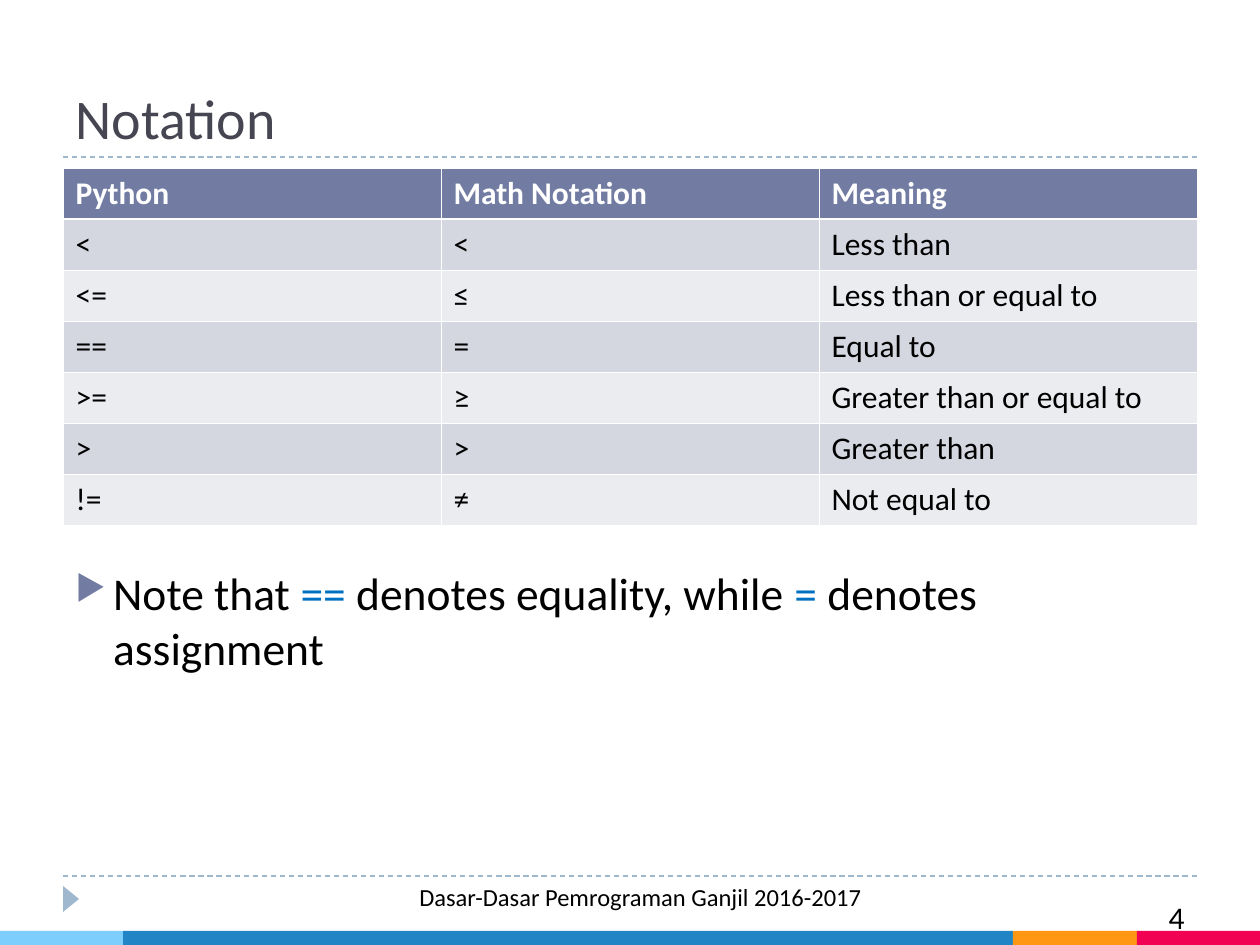
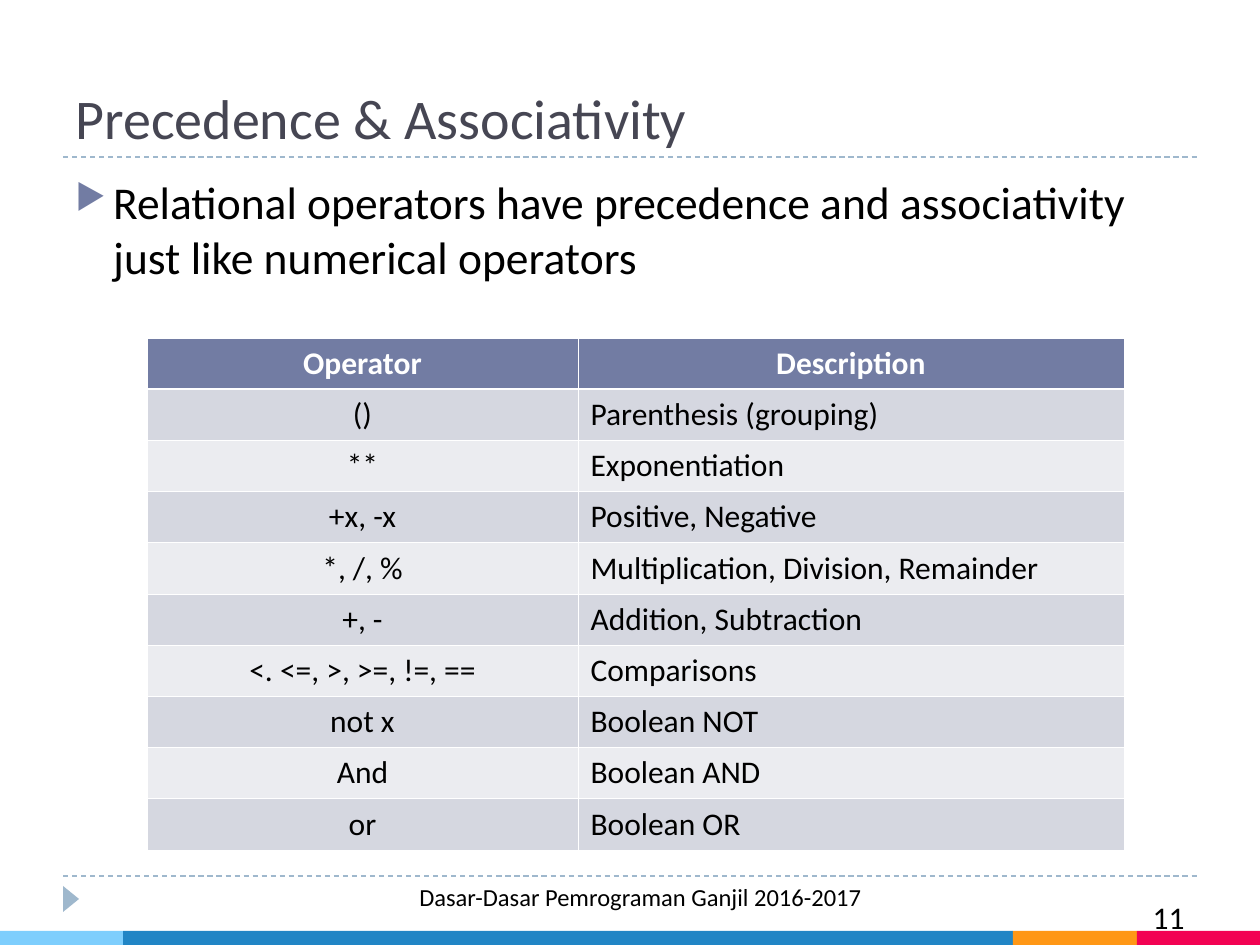
from pptx import Presentation
from pptx import util as u
from pptx.dml.color import RGBColor
from pptx.enum import dml, shapes, text
from pptx.oxml import parse_xml
from pptx.oxml.ns import nsdecls, qn
from lxml import etree

SCALE = 914400 / 126
WIDTH, HEIGHT = 1260, 945
MARGIN, CONTENT_W = 63, 1134
FONT = "Calibri"
BLACK, WHITE, TITLE_INK, HIGHLIGHT = "000000", "FFFFFF", "464653", "0070C0"
ACCENT, RULE = "727CA3", "9FB8CD"
ROW_FILLS = ("D5D7E0", "EBECF0")
BANDS = ((0, "7ECEFD"), (123, "2185C5"), (1013, "FF9715"), (1137, "F20253"))
BAND_TOP = 931
RULE_YS = (157, 876)
FOOTER = "Dasar-Dasar Pemrograman Ganjil 2016-2017"
THIN, THICK = 0.45, 1.47
LEFT, CENTER, RIGHT = text.PP_ALIGN.LEFT, text.PP_ALIGN.CENTER, text.PP_ALIGN.RIGHT

NOTATION = (
    ("Python", "Math Notation", "Meaning"),
    ("<", "<", "Less than"),
    ("<=", "≤", "Less than or equal to"),
    ("==", "=", "Equal to"),
    (">=", "≥", "Greater than or equal to"),
    (">", ">", "Greater than"),
    ("!=", "≠", "Not equal to"),
)
PRECEDENCE = (
    ("Operator", "Description"),
    ("()", "Parenthesis (grouping)"),
    ("**", "Exponentiation"),
    ("+x, -x", "Positive, Negative"),
    ("*, /, %", "Multiplication, Division, Remainder"),
    ("+, -", "Addition, Subtraction"),
    ("<. <=, >, >=, !=, ==", "Comparisons"),
    ("not x", "Boolean NOT"),
    ("And", "Boolean AND"),
    ("or", "Boolean OR"),
)


def px(n):
    """Turn pixels into EMU."""
    return u.Emu(round(n * SCALE))


def rgb(value):
    """Turn a hex string into a colour."""
    return RGBColor.from_string(value)


def style(p, size, color, align=LEFT, bold=False):
    """Format a whole paragraph."""
    p.alignment = align
    p.font.name, p.font.size, p.font.bold = FONT, u.Pt(size), bold
    p.font.color.rgb = rgb(color)


def add_shape(s, kind, box, fill):
    """Add a plain filled shape."""
    sp = s.shapes.add_shape(kind, *map(px, box))
    sp.shadow.inherit = False
    sp.fill.solid()
    sp.fill.fore_color.rgb = rgb(fill)
    sp.line.fill.background()
    return sp


def add_rule(s, y):
    """Add a dashed line across the content width."""
    line = s.shapes.add_connector(shapes.MSO_CONNECTOR.STRAIGHT,
                                  px(MARGIN), px(y), px(MARGIN + CONTENT_W), px(y))
    line.line.color.rgb = rgb(RULE)
    line.line.width = u.Pt(0.75)
    line.line.dash_style = dml.MSO_LINE.DASH
    etree.SubElement(line._element.spPr, qn("a:effectLst"))


def add_text(s, box, words, size, align=LEFT):
    """Add a wrapping text box and return its paragraph."""
    tf = s.shapes.add_textbox(*map(px, box)).text_frame
    tf.word_wrap = True
    p = tf.paragraphs[0]
    p.text = words
    style(p, size, BLACK, align)
    return p


def add_bullet(s, top, height, *runs):
    """Add a bulleted statement from (words, colour) runs."""
    p = add_text(s, (MARGIN, top, CONTENT_W, height), "", 26)
    p.space_before = u.Pt(6)
    for words, color in runs:
        r = p.add_run()
        r.text = words
        r.font.name, r.font.size = FONT, u.Pt(26)
        r.font.color.rgb = rgb(color)
    pPr = p._p.get_or_add_pPr()
    indent = u.Inches(0.3)
    pPr.set("marL", str(indent))
    pPr.set("indent", str(-indent))
    marks = (f'<a:buClr {nsdecls("a")}><a:srgbClr val="{ACCENT}"/></a:buClr>',
             f'<a:buSzPct {nsdecls("a")} val="76000"/>',
             f'<a:buChar {nsdecls("a")} char="▶"/>')
    after_spacing = pPr.index(pPr.find(qn("a:spcBef"))) + 1
    for offset, mark in enumerate(marks):
        pPr.insert(after_spacing + offset, parse_xml(mark))


def set_borders(cell, top, bottom):
    """Draw white cell borders with the given top and bottom widths."""
    tcPr = cell._tc.get_or_add_tcPr()
    for side, width in (("L", THIN), ("R", THIN), ("T", top), ("B", bottom)):
        tcPr.append(parse_xml(
            f'<a:ln{side} {nsdecls("a")} w="{u.Pt(width)}"><a:solidFill>'
            f'<a:srgbClr val="{WHITE}"/></a:solidFill></a:ln{side}>'))


def add_table(s, left, top, height, widths, rows, head_align, aligns):
    """Add a table with a coloured header and alternating rows."""
    table = s.shapes.add_table(len(rows), len(widths), px(left), px(top),
                               px(sum(widths)), px(height)).table
    for column, width in zip(table.columns, widths):
        column.width = px(width)
    for i, row in enumerate(rows):
        table.rows[i].height = px(height / len(rows))
        head = i == 0
        for j, words in enumerate(row):
            cell = table.cell(i, j)
            set_borders(cell, THICK if i == 1 else THIN, THICK if head else THIN)
            cell.fill.solid()
            cell.fill.fore_color.rgb = rgb(ACCENT if head else ROW_FILLS[(i - 1) % 2])
            p = cell.text_frame.paragraphs[0]
            p.text = words
            style(p, 18, WHITE if head else BLACK, head_align if head else aligns[j], head)


def add_slide(prs, title, number):
    """Add a slide with its title, rules, bands and footer."""
    s = prs.slides.add_slide(prs.slide_layouts[5])
    sp = s.shapes.title
    sp.left, sp.top, sp.width, sp.height = map(px, (MARGIN, 21, CONTENT_W, 136))
    tf = sp.text_frame
    tf.text = title
    tf.vertical_anchor = text.MSO_ANCHOR.BOTTOM
    style(tf.paragraphs[0], 32, TITLE_INK)
    for y in RULE_YS:
        add_rule(s, y)
    marker = add_shape(s, shapes.MSO_SHAPE.ISOSCELES_TRIANGLE, (58, 891, 26, 16), RULE)
    marker.rotation = 90
    ends = [left for left, _ in BANDS[1:]] + [WIDTH]
    for (left, color), end in zip(BANDS, ends):
        add_shape(s, shapes.MSO_SHAPE.RECTANGLE,
                  (left, BAND_TOP, end - left, HEIGHT - BAND_TOP), color)
    add_text(s, (399, 876, 483, 50), FOOTER, 14, CENTER)
    add_text(s, (924, 892, 273, 50), str(number), 18, RIGHT)
    return s


def main():
    """Build the two slides."""
    prs = Presentation()
    prs.slide_width, prs.slide_height = px(WIDTH), px(HEIGHT)

    s = add_slide(prs, "Notation", 4)
    add_table(s, MARGIN, 168, 358, (378, 378, 378), NOTATION, LEFT, (LEFT,) * 3)
    add_bullet(s, 559, 289, ("Note that ", BLACK), ("== ", HIGHLIGHT),
               ("denotes equality, while ", BLACK), ("=", HIGHLIGHT),
               (" denotes assignment", BLACK))

    s = add_slide(prs, "Precedence & Associativity", 11)
    add_bullet(s, 168, 150, ("Relational operators have precedence and associativity "
                             "just like numerical operators", BLACK))
    add_table(s, 147, 338, 512, (431, 546), PRECEDENCE, CENTER, (CENTER, LEFT))

    prs.save("out.pptx")


if __name__ == "__main__":
    main()
